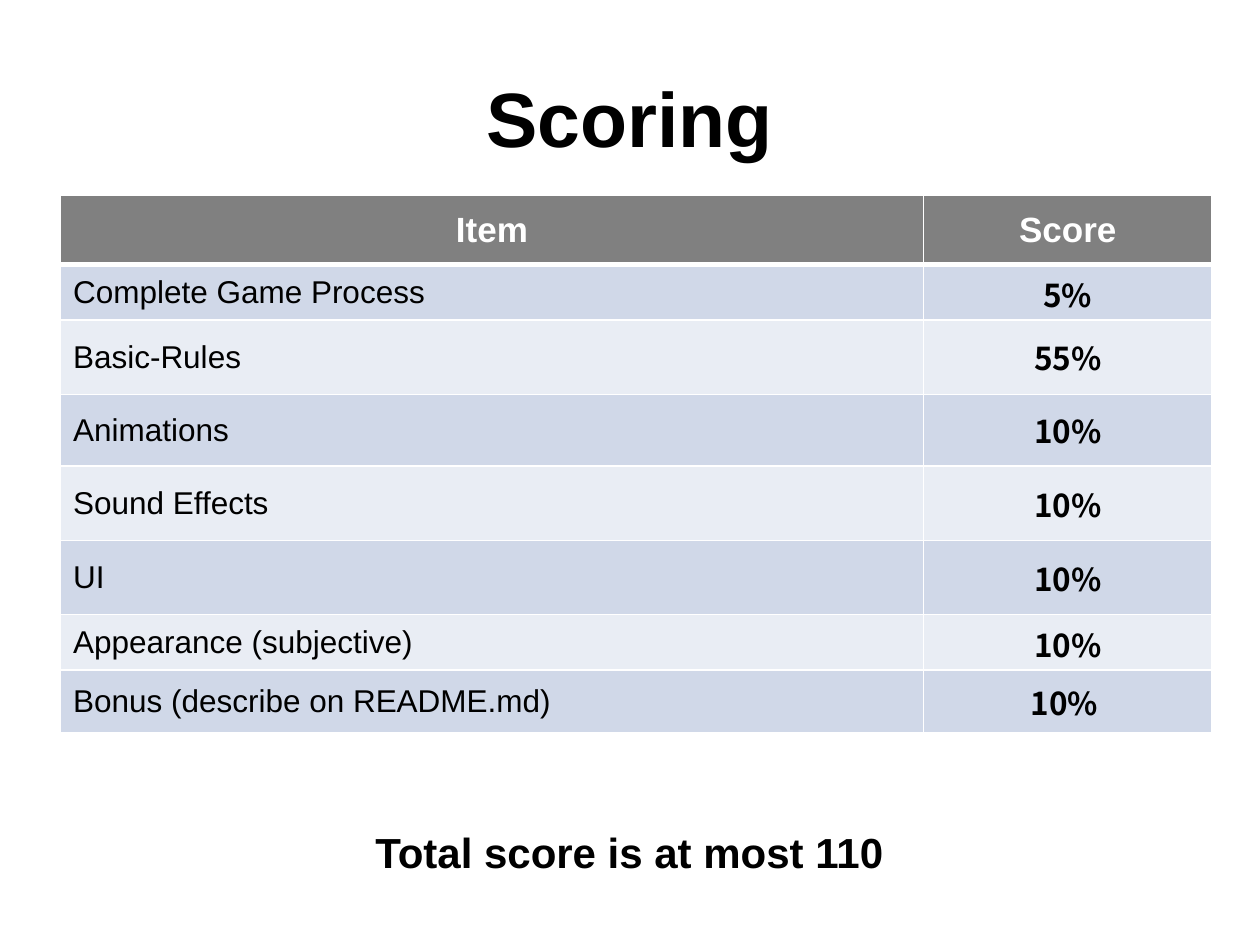
import pptx
import pptx.dml.color
import pptx.enum.text
import pptx.oxml
import pptx.oxml.ns
import pptx.util

RGBColor = pptx.dml.color.RGBColor
Align = pptx.enum.text.PP_ALIGN
Anchor = pptx.enum.text.MSO_ANCHOR
Inches, Pt = pptx.util.Inches, pptx.util.Pt

BLACK = RGBColor(0x00, 0x00, 0x00)
WHITE = RGBColor(0xFF, 0xFF, 0xFF)
HEADER_GRAY = RGBColor(0x80, 0x80, 0x80)
BANDS = (RGBColor(0xD0, 0xD8, 0xE8), RGBColor(0xE9, 0xED, 0xF4))

WIDTH, HEIGHT = Inches(10), Inches(7.5)

# Font formats by role
TITLE = {"name": "Arial", "size": Pt(44), "bold": True}
HEADER = {"name": "Arial", "size": Pt(20), "bold": True}
ITEM = {"name": "Arial", "size": Pt(18), "bold": False}
SCORE = {"name": "Noto Sans CJK SC", "size": Pt(18), "bold": True}
TOTAL = {"name": "Arial", "size": Pt(24), "bold": True}

COLUMN_WIDTHS = (6.85, 2.29)
HEADER_HEIGHT = 0.55
# Item, score, row height in inches
SCORING = (
    ("Complete Game Process", "5%", 0.44),
    ("Basic-Rules", "55%", 0.59),
    ("Animations", "10%", 0.57),
    ("Sound Effects", "10%", 0.59),
    ("UI", "10%", 0.59),
    ("Appearance (subjective)", "10%", 0.44),
    ("Bonus (describe on README.md)", "10% ", 0.5),
)


def write(frame, text, font_format, color=BLACK, align=Align.CENTER):
    paragraph = frame.paragraphs[0]
    paragraph.alignment = align
    run = paragraph.add_run()
    run.text = text
    for attribute, value in font_format.items():
        setattr(run.font, attribute, value)
    run.font.color.rgb = color


def add_line_of_text(slide, text, font_format, left, top, width, height,
                     anchor=Anchor.TOP, wrap=True):
    """Place one line of text; the box is given in shares of the slide."""
    box = slide.shapes.add_textbox(int(left * WIDTH), int(top * HEIGHT),
                                   int(width * WIDTH), int(height * HEIGHT))
    box.text_frame.word_wrap = wrap
    box.text_frame.vertical_anchor = anchor
    write(box.text_frame, text, font_format)


def set_borders(cell, **widths):
    properties = cell._tc.get_or_add_tcPr()
    for side in "LRTB":
        properties.append(pptx.oxml.parse_xml(
            f'<a:ln{side} {pptx.oxml.ns.nsdecls("a")} w="{Pt(widths.get(side, 1))}">'
            f'<a:solidFill><a:srgbClr val="{WHITE}"/></a:solidFill></a:ln{side}>'))


def fill_cell(cell, text, font_format, fill, color=BLACK, align=Align.CENTER,
              **border_widths):
    set_borders(cell, **border_widths)
    cell.fill.solid()
    cell.fill.fore_color.rgb = fill
    cell.vertical_anchor = Anchor.MIDDLE
    write(cell.text_frame, text, font_format, color, align)


def add_scoring_table(slide, left, top):
    heights = (HEADER_HEIGHT, *(height for _, _, height in SCORING))
    scoring = slide.shapes.add_table(
        len(heights), len(COLUMN_WIDTHS), int(left * WIDTH), int(top * HEIGHT),
        Inches(sum(COLUMN_WIDTHS)), Inches(sum(heights))).table
    scoring.horz_banding = False
    for column, width in zip(scoring.columns, COLUMN_WIDTHS):
        column.width = Inches(width)
    for row, height in zip(scoring.rows, heights):
        row.height = Inches(height)

    # Header row with a thick rule below
    for index, heading in enumerate(("Item", "Score")):
        fill_cell(scoring.cell(0, index), heading, HEADER, HEADER_GRAY, WHITE, B=3)

    # Banded score rows
    for index, (item, score, _) in enumerate(SCORING):
        band = BANDS[index % 2]
        top_rule = 3 if index == 0 else 1
        fill_cell(scoring.cell(index + 1, 0), item, ITEM, band,
                  align=Align.LEFT, T=top_rule)
        fill_cell(scoring.cell(index + 1, 1), score, SCORE, band, T=top_rule)


def main():
    deck = pptx.Presentation()
    deck.slide_width, deck.slide_height = WIDTH, HEIGHT
    slide = deck.slides.add_slide(deck.slide_layouts[6])

    # Title
    add_line_of_text(slide, "Scoring", TITLE, 0.05, 0.04, 0.9, 1 / 6, Anchor.MIDDLE)
    # Score breakdown
    add_scoring_table(slide, 0.048, 1.55 / 7.5)
    # Upper limit of the score
    add_line_of_text(slide, "Total score is at most 110", TOTAL,
                     0.286, 6.51 / 7.5, 0.427, 1 / 15, wrap=False)

    deck.save("out.pptx")


if __name__ == "__main__":
    main()
